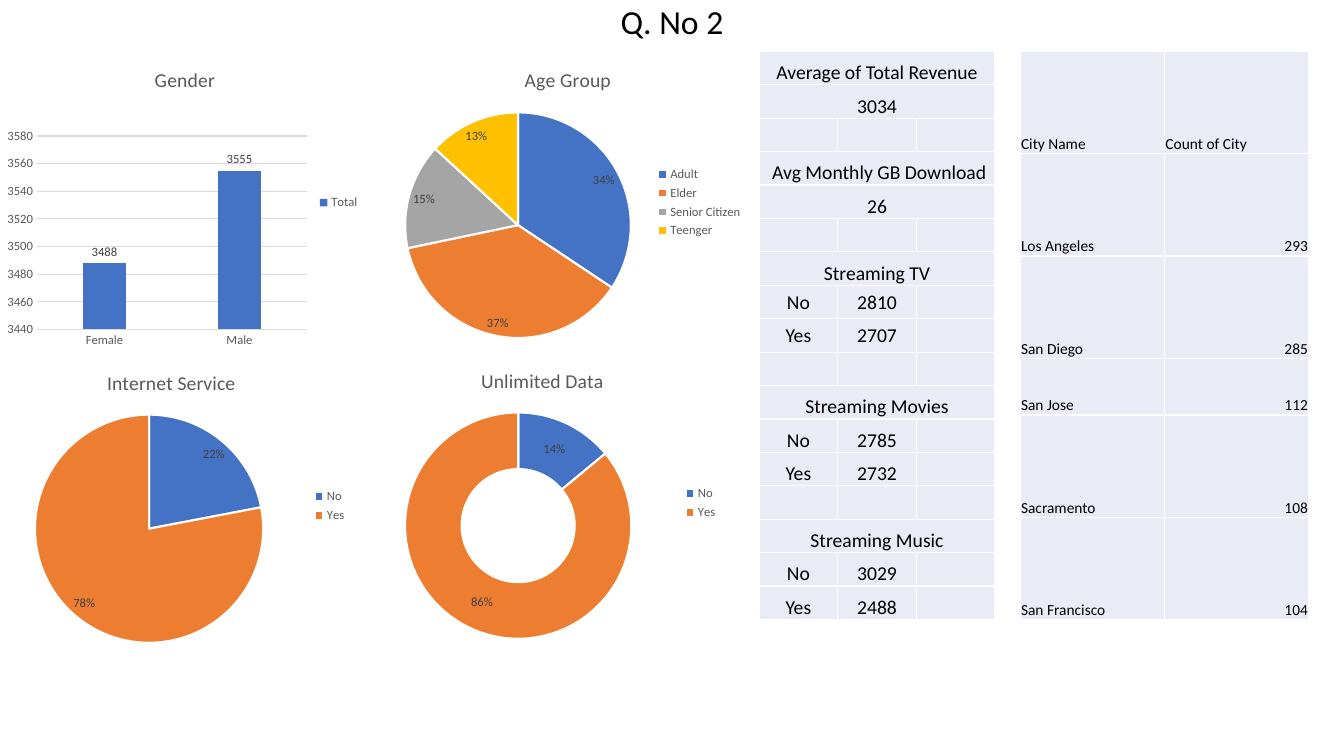
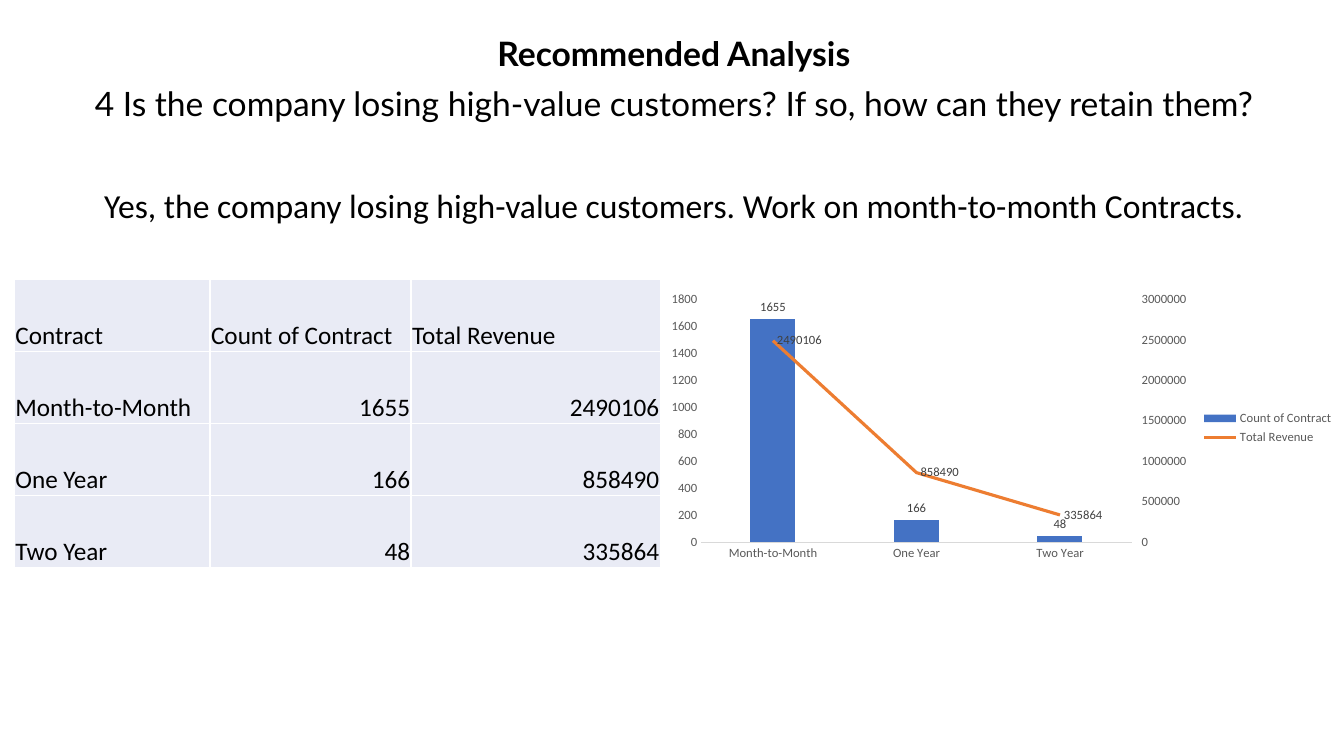
import dataclasses

import pptx
import pptx.chart.axis
import pptx.chart.data
import pptx.dml.color
import pptx.enum.chart
import pptx.enum.text
import pptx.oxml
import pptx.oxml.ns
import pptx.util

Pt = pptx.util.Pt
ChartType = pptx.enum.chart.XL_CHART_TYPE
LabelPosition = pptx.enum.chart.XL_LABEL_POSITION
TickMark = pptx.enum.chart.XL_TICK_MARK
Align = pptx.enum.text.PP_ALIGN
Anchor = pptx.enum.text.MSO_ANCHOR


@dataclasses.dataclass(frozen=True)
class Theme:
    """Colours, fonts and type sizes shared by the slides."""

    text: str = "000000"
    chart_text: str = "595959"
    label_text: str = "404040"
    rule: str = "D9D9D9"
    white: str = "FFFFFF"
    cell: str = "E9EBF5"
    series: tuple = ("4472C4", "ED7D31", "A5A5A5", "FFC000")
    font: str = "Calibri"
    accent_font: str = "Lato"
    heading_size: float = 24
    chart_title_size: float = 14
    chart_size: float = 9


THEME = Theme()


def rgb(value):
    """Return a colour object for a hex string."""
    return pptx.dml.color.RGBColor.from_string(value)


def apply_format(target, values):
    """Set each named attribute of the target."""
    for name, value in values.items():
        setattr(target, name, value)


def format_font(font, size, color=THEME.text, name=THEME.font, bold=False):
    """Give a font its size, face, weight and colour."""
    apply_format(font, {"size": Pt(size), "name": name, "bold": bold})
    font.color.rgb = rgb(color)


def format_line(line, color, width):
    """Give a line its colour and width."""
    line.color.rgb = rgb(color)
    line.width = Pt(width)


def place(shape, box):
    """Move and size a shape from left, top, width and height in points."""
    apply_format(shape, dict(zip(("left", "top", "width", "height"), map(Pt, box))))


def write_heading(frame, lines, gap=10):
    """Write centred heading lines, each a pair of text and font name."""
    apply_format(frame, {"word_wrap": True, "vertical_anchor": Anchor.TOP,
                         "auto_size": pptx.enum.text.MSO_AUTO_SIZE.NONE})
    for index, (text, font_name, bold) in enumerate(lines):
        paragraph = frame.add_paragraph() if index else frame.paragraphs[0]
        apply_format(paragraph, {"alignment": Align.CENTER, "line_spacing": 0.9,
                                 "space_before": Pt(gap if index else 0)})
        run = paragraph.add_run()
        run.text = text
        format_font(run.font, THEME.heading_size, name=font_name, bold=bold)


def add_titled_slide(presentation, text, box, font_name=THEME.font, bold=False):
    """Add a title-only slide with its title placed and formatted."""
    slide = presentation.slides.add_slide(presentation.slide_layouts[5])
    place(slide.shapes.title, box)
    write_heading(slide.shapes.title.text_frame, [(text, font_name, bold)])
    return slide


def format_cell(cell, text, size, alignment, anchor):
    """Give a table cell white borders, a fill and its text."""
    properties = cell._tc.get_or_add_tcPr()
    for side in ("lnL", "lnR", "lnT", "lnB"):
        properties.append(pptx.oxml.parse_xml(
            f'<a:{side} {pptx.oxml.ns.nsdecls("a")} w="12700"><a:solidFill>'
            f'<a:srgbClr val="{THEME.white}"/></a:solidFill></a:{side}>'))
    cell.fill.solid()
    cell.fill.fore_color.rgb = rgb(THEME.cell)
    apply_format(cell, {"margin_left": Pt(0.72), "margin_right": Pt(0.72),
                        "margin_top": Pt(0.72), "margin_bottom": 0,
                        "vertical_anchor": anchor})
    paragraph = cell.text_frame.paragraphs[0]
    paragraph.alignment = alignment
    if text:
        run = paragraph.add_run()
        run.text = text
        format_font(run.font, size)


def add_table(slide, origin, widths, heights, rows, size, centred=False, middle_rows=()):
    """Add a table; a row with one text spans all columns."""
    shape = slide.shapes.add_table(len(rows), len(widths), *map(Pt, origin),
                                   Pt(sum(widths)), Pt(sum(heights)))
    table = shape.table
    apply_format(table, {"first_row": False, "horz_banding": False})
    for column, width in zip(table.columns, widths):
        column.width = Pt(width)
    for row_index, values in enumerate(rows):
        table.rows[row_index].height = Pt(heights[row_index])
        anchor = Anchor.MIDDLE if row_index in middle_rows else Anchor.BOTTOM
        for column_index in range(len(widths)):
            text = values[column_index] if column_index < len(values) else ""
            alignment = Align.RIGHT if text.isdigit() else Align.LEFT
            format_cell(table.cell(row_index, column_index), text, size,
                        Align.CENTER if centred else alignment, anchor)
        if len(values) == 1:
            table.cell(row_index, 0).merge(table.cell(row_index, len(widths) - 1))


def set_plot_layout(chart, layout):
    """Fix the inner plot area as fractions of the chart."""
    plot_area = chart.element.xpath(".//c:plotArea")[0]
    for old_layout in plot_area.xpath("./c:layout"):
        plot_area.remove(old_layout)
    sizes = "".join(f'<c:{name} val="{value}"/>' for name, value in zip("xywh", layout))
    plot_area.insert(0, pptx.oxml.parse_xml(
        f'<c:layout {pptx.oxml.ns.nsdecls("c")}><c:manualLayout>'
        '<c:layoutTarget val="inner"/><c:xMode val="edge"/><c:yMode val="edge"/>'
        f'{sizes}</c:manualLayout></c:layout>'))


def add_chart(slide, kind, box, layout, categories, series, title=None):
    """Add a chart with a legend at right and an optional title."""
    data = pptx.chart.data.CategoryChartData()
    data.categories = categories
    for name, values in series:
        data.add_series(name, values)
    chart = slide.shapes.add_chart(kind, *map(Pt, box), data).chart
    format_font(chart.font, 10)
    apply_format(chart, {"has_legend": True, "has_title": title is not None})
    apply_format(chart.legend, {"position": pptx.enum.chart.XL_LEGEND_POSITION.RIGHT,
                                "include_in_layout": False})
    format_font(chart.legend.font, THEME.chart_size, THEME.chart_text)
    if title:
        frame = chart.chart_title.text_frame
        frame.text = title
        format_font(frame.paragraphs[0].runs[0].font,
                    THEME.chart_title_size, THEME.chart_text)
    set_plot_layout(chart, layout)
    return chart


def format_labels(series, values):
    """Give a series its data labels."""
    labels = series.data_labels
    format_font(labels.font, THEME.chart_size, THEME.label_text)
    apply_format(labels, values)


def format_value_axis(axis, minimum, maximum, step, tick=TickMark.NONE):
    """Give a value axis its scale and text, without a line."""
    apply_format(axis, {"minimum_scale": minimum, "maximum_scale": maximum,
                        "major_unit": step, "major_tick_mark": tick})
    axis.format.line.fill.background()
    format_font(axis.tick_labels.font, THEME.chart_size, THEME.chart_text)


def add_column_chart(slide, *content, scale, gridlines, title=None):
    """Add a column chart with labelled columns."""
    chart = add_chart(slide, ChartType.COLUMN_CLUSTERED, *content, title=title)
    plot = chart.plots[0]
    apply_format(plot, {"gap_width": 219, "overlap": -27, "vary_by_categories": False})
    columns = plot.series[0]
    columns.format.fill.solid()
    columns.format.fill.fore_color.rgb = rgb(THEME.series[0])
    format_labels(columns, {"show_value": True, "position": LabelPosition.OUTSIDE_END})
    chart.category_axis.major_tick_mark = TickMark.NONE
    format_line(chart.category_axis.format.line, THEME.rule, 0.75)
    format_font(chart.category_axis.tick_labels.font, THEME.chart_size, THEME.chart_text)
    format_value_axis(chart.value_axis, *scale)
    chart.value_axis.has_major_gridlines = gridlines
    if gridlines:
        format_line(chart.value_axis.major_gridlines.format.line, THEME.rule, 0.75)
    return chart


def move_series_to_line(chart, scale):
    """Draw the second series as a line on a right-hand axis."""
    plot_area = chart.element.xpath(".//c:plotArea")[0]
    bar_chart = plot_area.xpath("./c:barChart")[0]
    series_element = bar_chart.xpath("./c:ser")[1]
    for flag in series_element.xpath("./c:invertIfNegative"):
        series_element.remove(flag)
    line_chart, value_axis, category_axis = pptx.oxml.parse_xml(
        f'<c:plotArea {pptx.oxml.ns.nsdecls("c")}><c:lineChart>'
        '<c:grouping val="standard"/><c:varyColors val="0"/><c:marker val="1"/>'
        '<c:axId val="5001"/><c:axId val="5002"/></c:lineChart>'
        '<c:valAx><c:axId val="5002"/><c:scaling/><c:delete val="0"/>'
        '<c:axPos val="r"/><c:numFmt formatCode="0" sourceLinked="0"/>'
        '<c:majorTickMark val="out"/><c:minorTickMark val="none"/>'
        '<c:tickLblPos val="nextTo"/><c:crossAx val="5001"/><c:crosses val="max"/>'
        '<c:crossBetween val="between"/></c:valAx>'
        '<c:catAx><c:axId val="5001"/><c:scaling/><c:delete val="1"/>'
        '<c:axPos val="b"/><c:crossAx val="5002"/></c:catAx></c:plotArea>')
    line_chart.insert(2, series_element)
    bar_chart.addnext(line_chart)
    last_axis = plot_area.xpath("./c:valAx")[-1]
    last_axis.addnext(value_axis)
    value_axis.addnext(category_axis)
    format_value_axis(pptx.chart.axis.ValueAxis(value_axis), *scale, tick=TickMark.OUTSIDE)
    line = chart.plots[1].series[0]
    line.smooth = False
    line.marker.style = pptx.enum.chart.XL_MARKER_STYLE.NONE
    format_line(line.format.line, THEME.series[1], 2.25)
    format_labels(line, {"show_value": True, "position": LabelPosition.RIGHT,
                         "number_format": "0", "number_format_is_linked": False})


def add_share_chart(slide, kind, title, box, layout, shares):
    """Add a pie or doughnut chart of percentages."""
    chart = add_chart(slide, kind, box, layout, list(shares),
                      [("Series 1", list(shares.values()))], title)
    chart.plots[0].vary_by_categories = True
    series = chart.plots[0].series[0]
    for index in range(len(shares)):
        point = series.points[index].format
        point.fill.solid()
        point.fill.fore_color.rgb = rgb(THEME.series[index])
        format_line(point.line, THEME.white, 1.5)
    labels = {"show_percentage": True, "show_value": False}
    if kind == ChartType.PIE:
        labels["position"] = LabelPosition.BEST_FIT
    format_labels(series, labels)
    for hole in chart.element.xpath(".//c:holeSize"):
        hole.set("val", "75")


def build_customer_slide(presentation):
    """Build the slide of customer profile charts and tables."""
    slide = add_titled_slide(presentation, "Q. No 2", (0, 0, 960, 36))
    add_column_chart(slide, (0, 36.7, 264.2, 216), (0.1, 0.28, 0.73, 0.64),
                     ["Female", "Male"], [("Total", [3488, 3555])],
                     scale=(3440, 3580, 20), gridlines=True, title="Gender")
    add_share_chart(slide, ChartType.PIE, "Age Group", (273.6, 36.7, 264.2, 216),
                    (0.06, 0.2, 0.61, 0.75),
                    {"Adult": 34, "Elder": 37, "Senior Citizen": 15, "Teenger": 13})
    add_share_chart(slide, ChartType.DOUGHNUT, "Unlimited Data", (254.9, 251.3, 265, 216),
                    (0.13, 0.2, 0.61, 0.75), {"No": 14, "Yes": 86})
    add_share_chart(slide, ChartType.PIE, "Internet Service", (-10.1, 252.7, 265, 217.4),
                    (0.13, 0.2, 0.62, 0.75), {"No": 22, "Yes": 78})
    usage = [["Average of Total Revenue"], ["3034"], [],
             [" Avg Monthly GB Download"], ["26"], [],
             ["Streaming TV"], ["No", "2810"], ["Yes", "2707"], [],
             ["Streaming Movies"], ["No", "2785"], ["Yes", "2732"], [],
             ["Streaming Music"], ["No", "3029"], ["Yes", "2488"]]
    add_table(slide, (542.2, 36.7), [56.2] * 3, [23.89] * len(usage), usage, 14,
              centred=True, middle_rows=(7, 8))
    cities = [["City Name", "Count of City"], ["Los Angeles", "293"], ["San Diego", "285"],
              ["San Jose", "112"], ["Sacramento", "108"], ["San Francisco", "104"]]
    heights = [40.5 if city == "San Jose" else 73.1 for city, count in cities]
    add_table(slide, (728.6, 36.7), [103.2] * 2, heights, cities, 11)


def build_contract_slide(presentation):
    """Build the slide of contract counts and revenue."""
    slide = add_titled_slide(presentation, "Recommended Analysis", (27.4, 23, 907.9, 34),
                             THEME.accent_font, True)
    answer = slide.shapes.add_textbox(0, 0, 0, 0)
    place(answer, (27.4, 59.2, 907.9, 110))
    write_heading(answer.text_frame, [
        ("4 Is the company losing high-value customers? If so, how can they retain them?",
         THEME.accent_font, False),
        ("Yes, the company losing high-value customers. Work on month-to-month Contracts.",
         THEME.font, False)], gap=46.4)
    contracts = ["Month-to-Month", "One Year", "Two Year"]
    series = [("Count of Contract", [1655, 166, 48]),
              ("Total Revenue", [2490106, 858490, 335864])]
    columns = [contracts] + [list(map(str, values)) for name, values in series]
    rows = [["Contract"] + [name for name, values in series]] + list(zip(*columns))
    add_table(slide, (10.3, 199.7), [139.8, 143.6, 177.9], [51.4] * len(rows), rows, 18)
    chart = add_column_chart(slide, (471.6, 205.9, 488.2, 199.4), (0.06, 0.04, 0.63, 0.87),
                             contracts, series, scale=(0, 1800, 200), gridlines=False)
    move_series_to_line(chart, (0, 3000000, 500000))


def main():
    """Build and save the presentation."""
    presentation = pptx.Presentation()
    apply_format(presentation, {"slide_width": Pt(960), "slide_height": Pt(540)})
    build_customer_slide(presentation)
    build_contract_slide(presentation)
    presentation.save("out.pptx")


if __name__ == "__main__":
    main()
